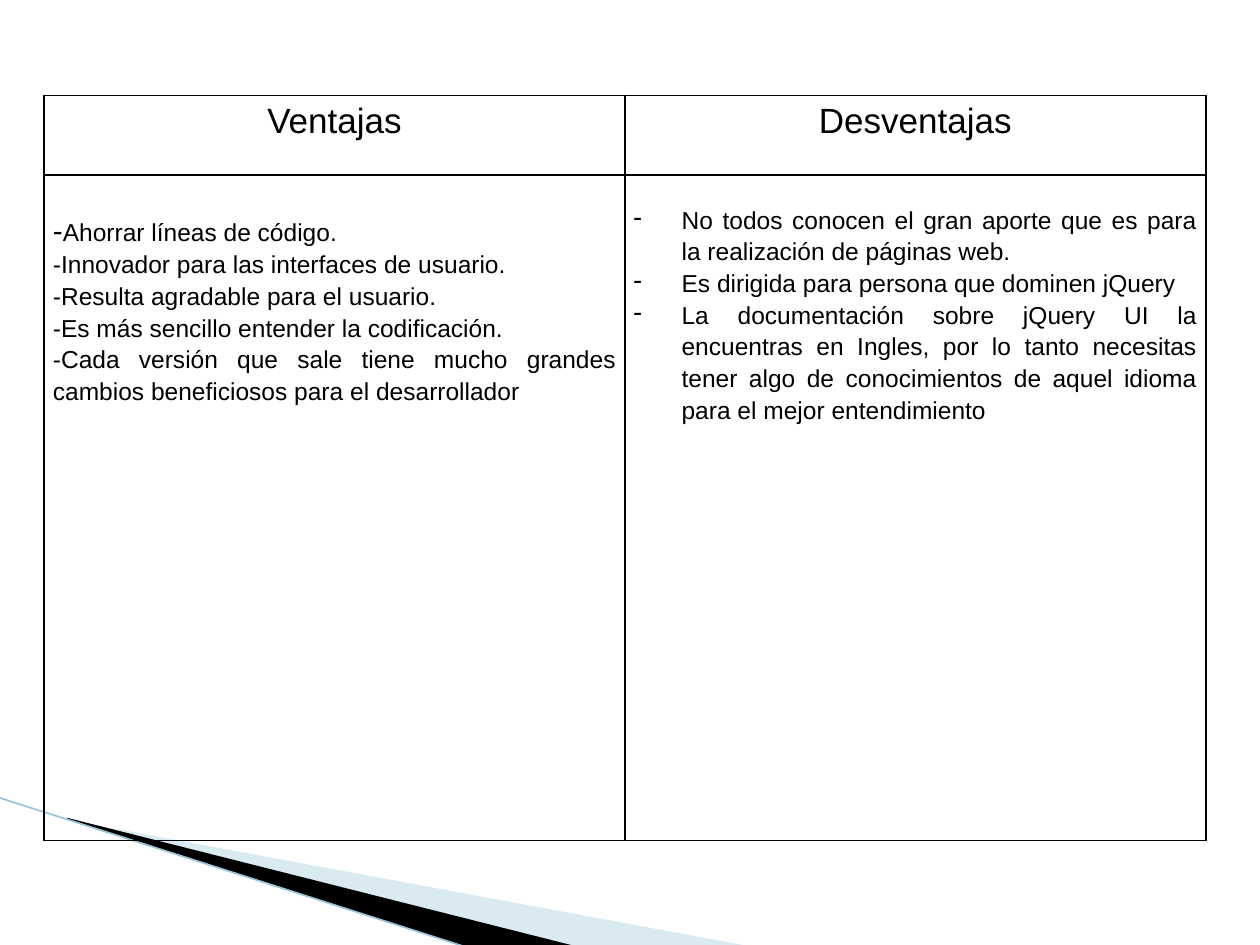
from dataclasses import dataclass

from lxml import etree
from pptx import Presentation
from pptx.dml.color import RGBColor
from pptx.enum.shapes import MSO_CONNECTOR
from pptx.enum.text import PP_ALIGN
from pptx.oxml.ns import qn
from pptx.util import Inches, Pt

STRAIGHT = MSO_CONNECTOR.STRAIGHT
CENTER = PP_ALIGN.CENTER
JUSTIFY = PP_ALIGN.JUSTIFY

COLORS = {"text": "000000", "border": "000000", "pale": "A0CBDC",
          "dark": "000000", "edge": "97C5D8"}
FONT = "Arial"
HEADING_SIZE, BODY_SIZE, LARGE_DASH_SIZE = 20, 14, 17
HANGING_INDENT = Inches(0.38)
SIDE_MARGIN = Inches(0.07)


@dataclass
class Wedge:
    points: list[tuple[float, float]]
    color: str
    opacity: int = 100


@dataclass
class Column:
    heading: str
    items: list[list[tuple[str, int]]]  # paragraphs of (text, size) runs
    body_top: float
    bulleted: bool = False


WEDGES = [
    Wedge([(0.55, 6.51), (5.95, 7.51), (4.56, 7.51), (0.55, 6.5)], "pale", 40),
    Wedge([(0.53, 6.49), (4.57, 7.51), (3.72, 7.52), (0.54, 6.5)], "dark"),
]

COLUMNS = [
    Column("Ventajas", [
        [("-", LARGE_DASH_SIZE), ("Ahorrar líneas de código.", BODY_SIZE)],
        [("-Innovador para las interfaces de usuario.", BODY_SIZE)],
        [("-Resulta agradable para el usuario.", BODY_SIZE)],
        [("-Es más sencillo entender la codificación.", BODY_SIZE)],
        [("-Cada versión que sale tiene mucho grandes cambios beneficiosos "
          "para el desarrollador", BODY_SIZE)],
    ], body_top=0.27),
    Column("Desventajas", [
        [("No todos conocen el gran aporte que es para la realización de "
          "páginas web.", BODY_SIZE)],
        [("Es dirigida para persona que dominen jQuery", BODY_SIZE)],
        [("La documentación sobre jQuery UI la encuentras en Ingles, por lo "
          "tanto necesitas tener algo de conocimientos de aquel idioma para "
          "el mejor entendimiento", BODY_SIZE)],
    ], body_top=0.22, bulleted=True),
]


def rgb(name: str) -> RGBColor:
    return RGBColor.from_string(COLORS[name])


def draw_wedge(slide, wedge: Wedge) -> None:
    points = [(Inches(x), Inches(y)) for x, y in wedge.points]
    builder = slide.shapes.build_freeform(*points[0])
    builder.add_line_segments(points[1:], close=True)
    shape = builder.convert_to_shape()
    shape.shadow.inherit = False
    shape.line.fill.background()
    shape.fill.solid()
    shape.fill.fore_color.rgb = rgb(wedge.color)
    if wedge.opacity < 100:
        color = shape.fill._xPr.find(".//" + qn("a:srgbClr"))
        etree.SubElement(color, qn("a:alpha"), val=str(wedge.opacity * 1000))


def draw_edge(slide) -> None:
    connector = slide.shapes.add_connector(
        STRAIGHT, Inches(-0.01), Inches(6.33), Inches(3.71), Inches(7.52))
    connector.line.color.rgb = rgb("edge")
    connector.line.width = Pt(0.95)
    etree.SubElement(connector._element.spPr, qn("a:effectLst"))


def format_cell(cell, top: float = 0) -> None:
    margins = {"margin_left": SIDE_MARGIN, "margin_right": SIDE_MARGIN,
               "margin_top": Inches(top), "margin_bottom": 0}
    for name, value in margins.items():
        setattr(cell, name, value)
    properties = cell._tc.get_or_add_tcPr()
    for side in ("lnL", "lnR", "lnT", "lnB"):
        line = etree.SubElement(properties, qn(f"a:{side}"), w=str(Pt(1)))
        fill = etree.SubElement(line, qn("a:solidFill"))
        etree.SubElement(fill, qn("a:srgbClr"), val=COLORS["border"])
    cell.fill.background()


def write_paragraph(paragraph, runs: list[tuple[str, int]], alignment,
                    bulleted: bool = False) -> None:
    paragraph.alignment = alignment
    paragraph.line_spacing = 1.15
    if bulleted:
        properties = paragraph._p.get_or_add_pPr()
        properties.set("marL", str(HANGING_INDENT))
        properties.set("indent", str(-HANGING_INDENT))
        etree.SubElement(properties, qn("a:buChar"), char="-")
    for text, size in runs:
        run = paragraph.add_run()
        run.text = text
        for name, value in {"name": FONT, "size": Pt(size), "bold": False}.items():
            setattr(run.font, name, value)
        run.font.color.rgb = rgb("text")


def draw_table(slide, columns: list[Column]) -> None:
    table = slide.shapes.add_table(
        2, len(columns), Inches(0.35), Inches(0.76), Inches(9.22), Inches(5.91)).table
    table.first_row = False
    table.horz_banding = False
    for row, height in zip(table.rows, (0.63, 5.28)):
        row.height = Inches(height)

    for index, column in enumerate(columns):
        heading, body = table.cell(0, index), table.cell(1, index)
        format_cell(heading)
        write_paragraph(heading.text_frame.paragraphs[0],
                        [(column.heading, HEADING_SIZE)], CENTER)
        format_cell(body, column.body_top)
        frame = body.text_frame
        for number, runs in enumerate(column.items):
            paragraph = frame.add_paragraph() if number else frame.paragraphs[0]
            write_paragraph(paragraph, runs, JUSTIFY, column.bulleted)


def main() -> None:
    presentation = Presentation()
    presentation.slide_width = Inches(10)
    presentation.slide_height = Inches(7.5)
    slide = presentation.slides.add_slide(presentation.slide_layouts[6])

    # Corner decoration
    for wedge in WEDGES:
        draw_wedge(slide, wedge)
    draw_edge(slide)

    # Comparison of advantages and disadvantages
    draw_table(slide, COLUMNS)
    presentation.save("out.pptx")


if __name__ == "__main__":
    main()
